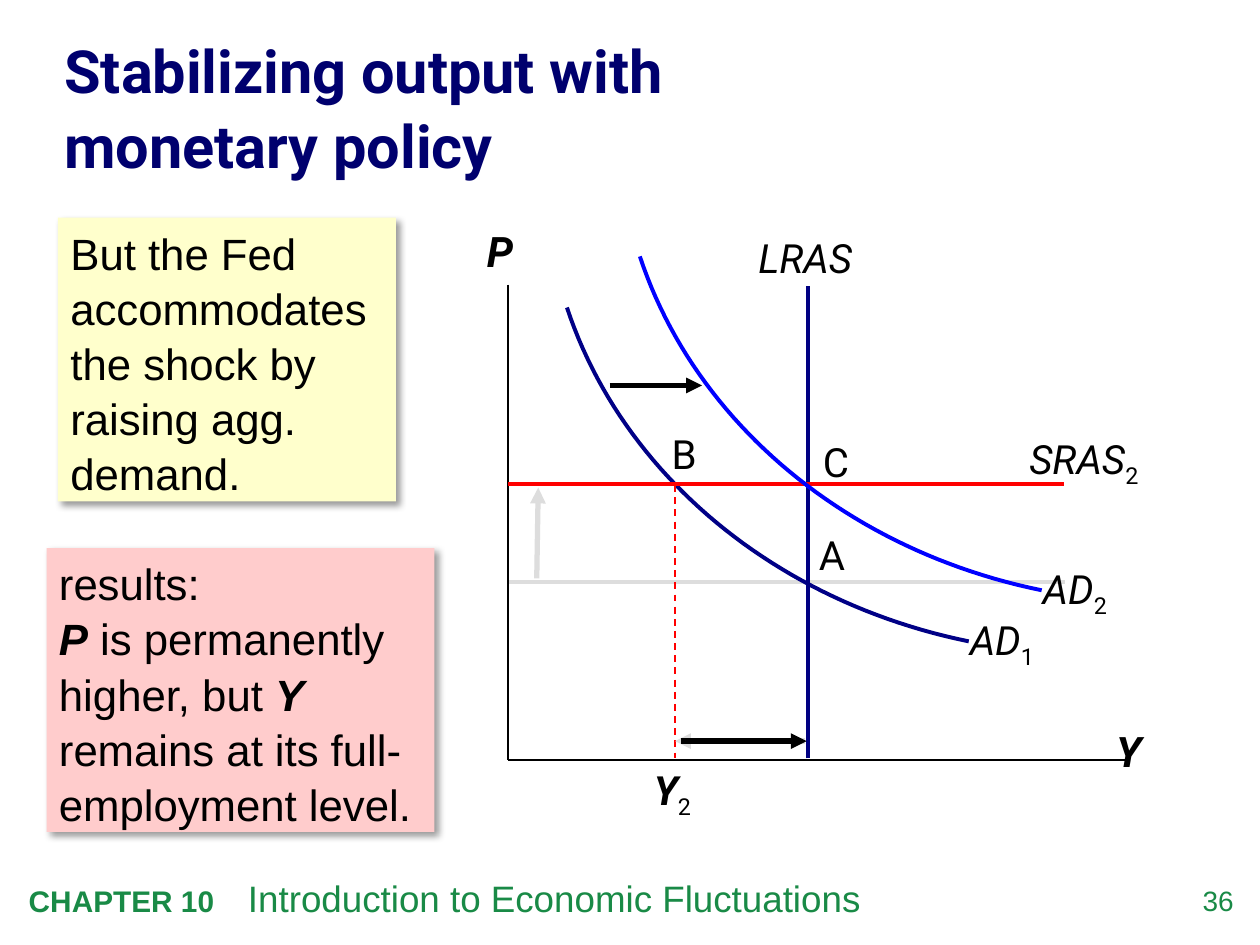
from lxml import etree
from pptx import Presentation
from pptx import util as u
from pptx.dml.color import RGBColor
from pptx.enum import dml, shapes, text
from pptx.oxml import parse_xml
from pptx.oxml.ns import nsdecls, qn

Cm, Pt = u.Cm, u.Pt

BLACK = RGBColor(0x00, 0x00, 0x00)
GREEN = RGBColor(0x19, 0x8A, 0x46)
TITLE_NAVY = RGBColor(0x00, 0x00, 0x6E)
CURVE_NAVY = RGBColor(0x00, 0x00, 0x86)
LRAS_NAVY = RGBColor(0x00, 0x00, 0x82)
BLUE = RGBColor(0x00, 0x00, 0xFF)
RED = RGBColor(0xFF, 0x00, 0x00)
GREY = RGBColor(0xDD, 0xDD, 0xDD)
YELLOW = RGBColor(0xFF, 0xFF, 0xCC)
PINK = RGBColor(0xFF, 0xCC, 0xCC)

# Diagram geometry in centimetres
AXIS_X, AXIS_Y = 10.24, 15.32
LRAS_X, Y2_X = 16.28, 13.61
SRAS_Y, OLD_SRAS_Y = 9.75, 11.73
SHIFT_Y = 14.94
AD_CURVE = [(19.53, 12.93), (15.65, 12.14), (12.55, 9.58), (11.43, 6.2)]
AD_LABEL = (19.3, 12.27)
AD_SHIFT = (1.47, -1.03)
DEFAULT_INSETS = (0.25, 0.13, 0.25, 0.13)
NO_INSETS = (0, 0, 0, 0)


def write(p, parts, font, size, color):
    """Fill a paragraph from (text, style) parts; style letters: b, i, s (subscript)."""
    for i, (words, style) in enumerate(parts):
        if words == "\n":
            p.add_line_break()
            continue
        r = p.add_run()
        r.text = words
        r.font.name, r.font.size = font, Pt(size)
        r.font.color.rgb = color
        r.font.bold, r.font.italic = "b" in style, "i" in style
        if "s" in style:
            r.font._element.set("baseline", "-25000")


def setup_frame(sp, insets, anchor=text.MSO_ANCHOR.TOP):
    tf = sp.text_frame
    tf.word_wrap = True
    tf.vertical_anchor = anchor
    tf.margin_left, tf.margin_top, tf.margin_right, tf.margin_bottom = map(Cm, insets)
    return tf.paragraphs[0]


def add_text(s, box, parts, font="Roboto", size=23, color=BLACK, insets=NO_INSETS,
             align=text.PP_ALIGN.LEFT, spacing=1.0, anchor=text.MSO_ANCHOR.TOP, tab=None):
    sp = s.shapes.add_textbox(*map(Cm, box))
    p = setup_frame(sp, insets, anchor)
    p.alignment, p.line_spacing = align, spacing
    if tab:
        tabs = etree.SubElement(p._p.get_or_add_pPr(), qn("a:tabLst"))
        etree.SubElement(tabs, qn("a:tab"), pos=str(int(Cm(tab))), algn="l")
    write(p, parts, font, size, color)


def add_note(s, box, fill, parts):
    """Coloured panel with a soft shadow."""
    sp = s.shapes.add_shape(shapes.MSO_SHAPE.RECTANGLE, *map(Cm, box))
    sp.shadow.inherit = False
    sp.fill.solid()
    sp.fill.fore_color.rgb = fill
    sp.line.fill.background()
    sp._element.spPr.find(qn("a:effectLst")).append(parse_xml(
        f'<a:outerShdw {nsdecls("a")} blurRad="{Pt(4)}" dist="{Pt(3)}" dir="2700000">'
        '<a:srgbClr val="000000"><a:alpha val="40000"/></a:srgbClr></a:outerShdw>'))
    p = setup_frame(sp, DEFAULT_INSETS)
    p.alignment, p.line_spacing = text.PP_ALIGN.LEFT, 1.05
    write(p, parts, "Arial", 25, BLACK)


def add_line(s, start, end, color, width=2.25, dashed=False, arrow=False):
    cx = s.shapes.add_connector(shapes.MSO_CONNECTOR.STRAIGHT, *map(Cm, (*start, *end)))
    cx.line.color.rgb = color
    cx.line.width = Pt(width)
    if dashed:
        cx.line.dash_style = dml.MSO_LINE.DASH
    if arrow:
        etree.SubElement(cx.line._get_or_add_ln(), qn("a:tailEnd"), type="triangle")
    etree.SubElement(cx._element.spPr, qn("a:effectLst"))


def bezier(points, steps=48):
    for i in range(steps + 1):
        t = i / steps
        weights = ((1 - t) ** 3, 3 * t * (1 - t) ** 2, 3 * t ** 2 * (1 - t), t ** 3)
        yield tuple(int(Cm(sum(w * pt[k] for w, pt in zip(weights, points))))
                    for k in (0, 1))


def add_demand(s, number, color):
    """Demand curve with its label; each further curve is shifted by AD_SHIFT."""
    dx, dy = (d * (number - 1) for d in AD_SHIFT)
    first, *rest = bezier([(x + dx, y + dy) for x, y in AD_CURVE])
    builder = s.shapes.build_freeform(*first)
    builder.add_line_segments(rest, close=False)
    sp = builder.convert_to_shape()
    sp.shadow.inherit = False
    sp.fill.background()
    sp.line.color.rgb = color
    sp.line.width = Pt(2.25)
    add_text(s, (AD_LABEL[0] + dx, AD_LABEL[1] + dy, 2.1, 1.22),
             [("AD", "i"), (str(number), "s")], insets=DEFAULT_INSETS)


def add_page_text(s):
    add_text(s, (23.47, 17.81, 1.4, 0.81), [("36", "")], "Arial", 16, GREEN,
             align=text.PP_ALIGN.RIGHT)
    footer = (0.33, 17.53, 20.78, 1.14)
    add_text(s, footer, [("CHAPTER 10\t", "b"), ("Introduction to Economic Fluctuations", "")],
             "Arial", 21, GREEN, DEFAULT_INSETS, tab=4.42)
    s.shapes[-1].text_frame.paragraphs[0].runs[0].font.size = Pt(17)
    add_text(s, (1.3, 0.81, 22.91, 2.62),
             [("Stabilizing output with", "b"), ("\n", ""), ("monetary policy", "b")],
             size=34, color=TITLE_NAVY, spacing=1.05, anchor=text.MSO_ANCHOR.MIDDLE)


def add_diagram(s):
    # Earlier supply level and axes
    add_line(s, (AXIS_X, OLD_SRAS_Y), (21.46, OLD_SRAS_Y), GREY)
    add_line(s, (AXIS_X, 5.74), (AXIS_X, AXIS_Y), BLACK, 1)
    add_line(s, (AXIS_X, AXIS_Y), (22.71, AXIS_Y), BLACK, 1)
    for name, box in (("Y", (21.69, 14.5, 2.13, 1.27)), ("P", (9.32, 4.42, 1.52, 1.27))):
        add_text(s, box, [(name, "bi")], size=24, insets=DEFAULT_INSETS,
                 align=text.PP_ALIGN.CENTER)

    # First demand curve and equilibrium points
    add_demand(s, 1, CURVE_NAVY)
    for name, x, y in (("B", 13.54, 8.66), ("A", 16.51, 10.69), ("C", 16.59, 8.81)):
        add_text(s, (x, y, 0.64, 0.97), [(name, "")])

    # Output at B and long-run supply
    add_text(s, (13.18, 15.42, 1.07, 1.24), [("Y", "bi"), ("2", "s")])
    add_line(s, (Y2_X, 9.78), (Y2_X, 15.29), RED, 1, dashed=True)
    add_line(s, (LRAS_X, 15.29), (LRAS_X, 5.77), LRAS_NAVY)
    add_text(s, (15.04, 4.57, 2.97, 1.22), [("LRAS", "i")], insets=DEFAULT_INSETS)

    # Shift arrows
    for start, end, color in (
        ((10.82, 11.66), (10.85, 9.83), GREY),
        ((16.23, SHIFT_Y), (Y2_X, SHIFT_Y), GREY),
        ((12.29, 7.77), (14.15, 7.77), BLACK),
        ((13.72, SHIFT_Y), (16.26, SHIFT_Y), BLACK),
    ):
        add_line(s, start, end, color, 3, arrow=True)

    # New short-run supply and second demand curve
    add_line(s, (AXIS_X, SRAS_Y), (21.44, SRAS_Y), RED)
    add_text(s, (20.75, 8.76, 2.54, 1.09), [("SRAS", "i"), ("2", "s")])
    add_demand(s, 2, BLUE)


def main():
    prs = Presentation()
    prs.slide_width, prs.slide_height = Cm(25.4), Cm(19.05)
    s = prs.slides.add_slide(prs.slide_layouts[6])
    add_page_text(s)
    add_note(s, (1.17, 4.39, 6.81, 5.72), YELLOW,
             [("But the Fed accommodates the shock by raising agg. demand.", "")])
    add_note(s, (0.94, 11.05, 7.82, 5.72), PINK,
             [("results:", ""), ("\n", ""), ("P", "bi"),
              (" is permanently higher, but ", ""), ("Y", "bi"),
              (" remains at its full-employment level.", "")])
    add_diagram(s)
    prs.save("out.pptx")


if __name__ == "__main__":
    main()
